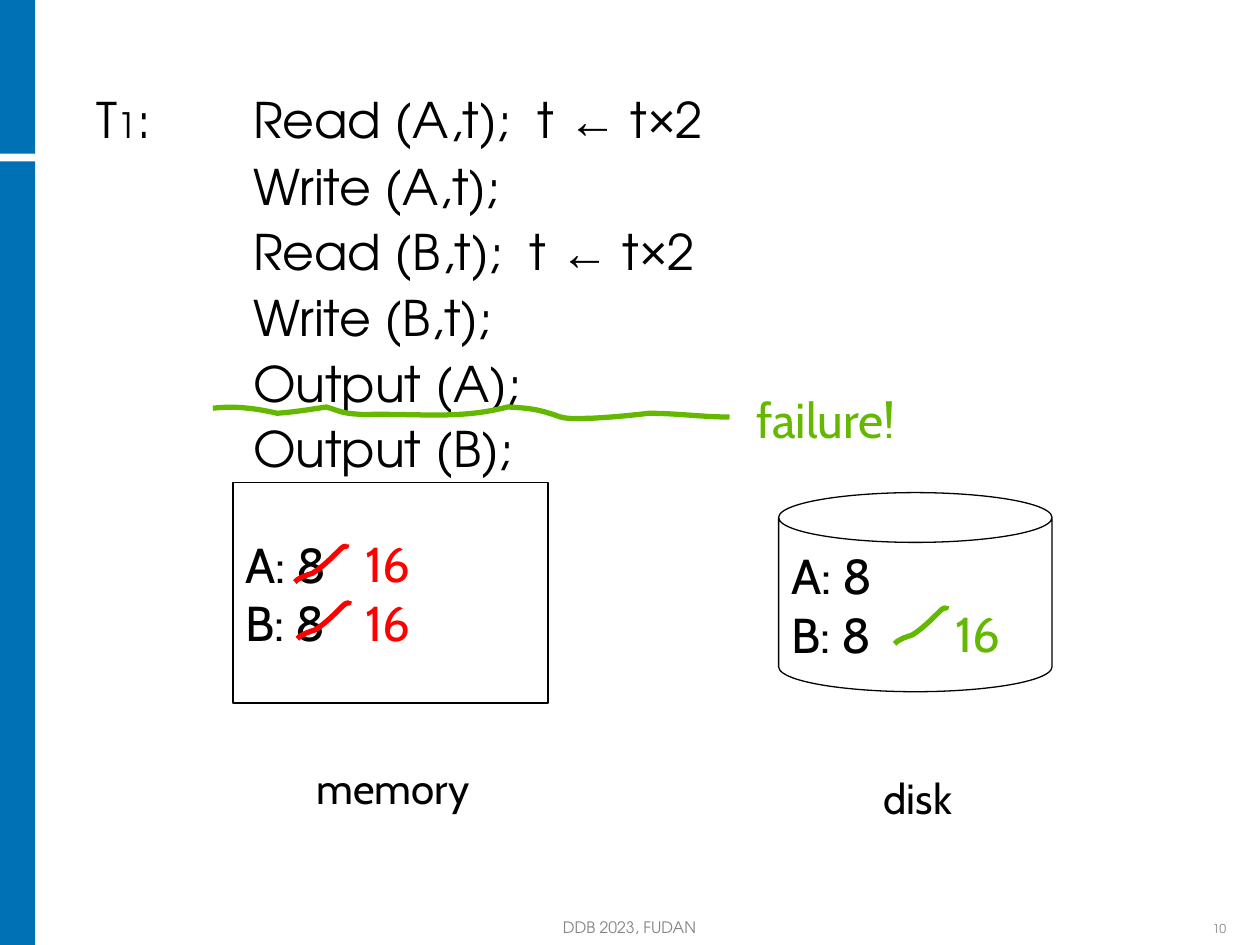
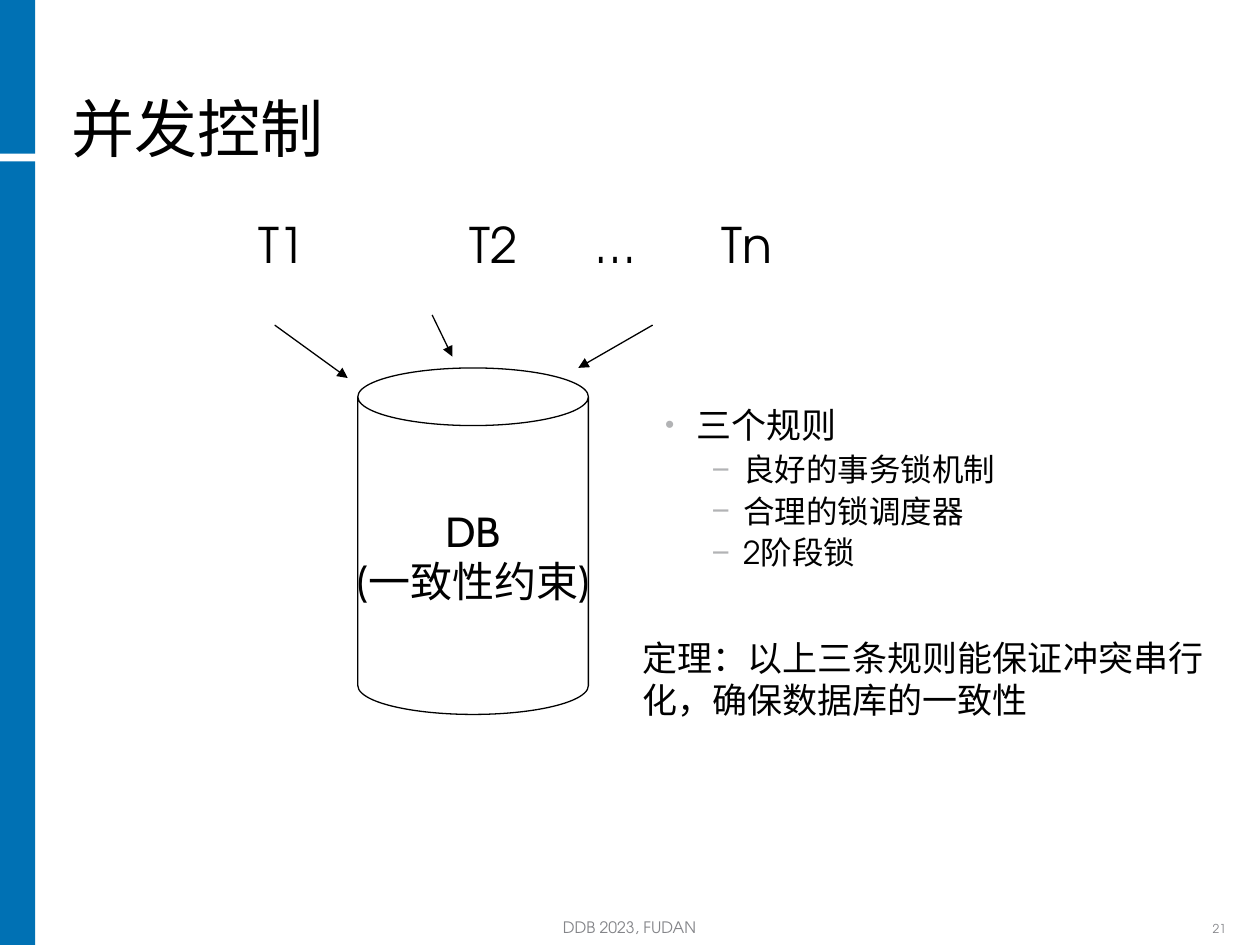
import dataclasses
import typing

import pptx
import pptx.dml.color
import pptx.enum.shapes
import pptx.enum.text
import pptx.oxml
import pptx.oxml.ns
import pptx.util
from lxml import etree

Inches = pptx.util.Inches
Pt = pptx.util.Pt
Align = pptx.enum.text.PP_ALIGN
Anchor = pptx.enum.text.MSO_ANCHOR
Form = pptx.enum.shapes.MSO_SHAPE
LEFT, MID, RIGHT = Align.LEFT, Align.CENTER, Align.RIGHT

BLUE, GREEN, RED = "0071B4", "64B900", "FF0000"
BLACK, WHITE, GRAY, PALE = "000000", "FFFFFF", "848589", "B2B3B5"
MAIN, HAND, SERIF, SIGN = "TeX Gyre Adventor", "Cabin", "Vollkorn", "Arial"


class Area(typing.NamedTuple):
    left: float
    top: float
    width: float
    height: float


class Style(typing.NamedTuple):
    font: str
    size: float
    color: str = BLACK


class Run(typing.NamedTuple):
    text: str
    font: str | None = None
    size: float | None = None


class Mark(typing.NamedTuple):
    char: str
    level: int
    indent: float
    scale: int


@dataclasses.dataclass
class Para:
    runs: list[Run]
    style: Style
    align: typing.Any = LEFT
    lead: float = 1.0
    before: float = 0
    after: float = 0
    tabs: tuple[float, ...] = ()
    mark: Mark | None = None


CODE = Style(MAIN, 28)
NOTE = Style(HAND, 28)
LABEL = Style(HAND, 24)
BANDS = [Area(0, 1.28, 0.28, 6.22), Area(0, 0, 0.28, 1.22)]
DOT = Mark("•", 0, 0.25, 75)
DASH = Mark("−", 1, 0.62, 100)

Point = tuple[float, float]
TICK: list[Point] = [
    (0, 0.31), (0.01, 0.3), (0.03, 0.28), (0.04, 0.28),
    (0.07, 0.26), (0.14, 0.24), (0.14, 0.24),
    (0.22, 0.19), (0.29, 0.12), (0.36, 0.05),
    (0.41, 0), (0.41, 0.05), (0.41, 0.01),
]
WAVE: list[Point] = [
    (0, 0.02), (0.17, 0), (0.34, 0.02), (0.51, 0.06),
    (0.65, 0.05), (0.77, 0.03), (0.9, 0.01),
    (1.03, 0.05), (1.02, 0.06), (1.19, 0.07),
    (1.66, 0.06), (1.95, 0.11), (2.34, 0.01),
    (2.53, 0.02), (2.59, 0.03), (2.76, 0.09),
    (2.84, 0.11), (2.92, 0.1), (3, 0.1),
    (3.18, 0.09), (3.29, 0.08), (3.46, 0.06),
    (3.68, 0.06), (3.89, 0.09), (4.1, 0.09),
]


def rgb(code: str) -> typing.Any:
    return pptx.dml.color.RGBColor.from_string(code)


def lengths(area: Area) -> list[int]:
    return [Inches(side) for side in area]


def add(node: typing.Any, tag: str, **attrs: typing.Any) -> typing.Any:
    values = {key: str(value) for key, value in attrs.items()}
    return etree.SubElement(node, pptx.oxml.ns.qn(tag), values)


def set_props(para: typing.Any, item: Para) -> None:
    props = para._p.get_or_add_pPr()
    if item.mark:
        para.level = item.mark.level
        props.set("marL", str(Inches(item.mark.indent)))
        props.set("indent", str(Inches(-0.25)))
        add(add(props, "a:buClr"), "a:srgbClr", val=PALE)
        add(props, "a:buSzPct", val=item.mark.scale * 1000)
        add(props, "a:buFont", typeface=SIGN)
        add(props, "a:buChar", char=item.mark.char)
    if item.tabs:
        stops = add(props, "a:tabLst")
        for stop in item.tabs:
            add(stops, "a:tab", pos=Inches(stop), algn="l")
    para.alignment = item.align
    para.line_spacing = item.lead
    para.space_after = Pt(item.after)


def fill_text(shape: typing.Any, items: list[Para], anchor: typing.Any, wrap: bool) -> None:
    frame = shape.text_frame
    frame.word_wrap = wrap
    frame.vertical_anchor = anchor
    for rank, item in enumerate(items):
        para = frame.add_paragraph() if rank else frame.paragraphs[0]
        set_props(para, item)
        if rank:
            para.space_before = Pt(item.before)
        for part in item.runs:
            run = para.add_run()
            run.text = part.text
            run.font.name = part.font or item.style.font
            run.font.size = Pt(part.size or item.style.size)
            run.font.color.rgb = rgb(item.style.color)


def add_text(slide: typing.Any, area: Area, items: list[Para],
             anchor: typing.Any = Anchor.TOP, wrap: bool = True) -> None:
    fill_text(slide.shapes.add_textbox(*lengths(area)), items, anchor, wrap)


def plain(text: str, style: Style, align: typing.Any = LEFT, **rest: typing.Any) -> Para:
    return Para([Run(text)], style, align, **rest)


def add_form(slide: typing.Any, form: typing.Any, area: Area,
             fill: str, line: str | None = None) -> typing.Any:
    shape = slide.shapes.add_shape(form, *lengths(area))
    shape.shadow.inherit = False
    shape.fill.solid()
    shape.fill.fore_color.rgb = rgb(fill)
    if line:
        shape.line.color.rgb = rgb(line)
        shape.line.width = Pt(0.75)
    else:
        shape.line.fill.background()
    return shape


def add_store(slide: typing.Any, form: typing.Any, area: Area, lines: list[str],
              style: Style, align: typing.Any = LEFT) -> None:
    shape = add_form(slide, form, area, WHITE, BLACK)
    items = [plain(line, style, align) for line in lines]
    fill_text(shape, items, Anchor.MIDDLE, align == LEFT)


def bend(shape: typing.Any) -> None:
    lines = list(shape._element.iter(pptx.oxml.ns.qn("a:lnTo")))
    route = lines[0].getparent()
    for first in range(0, len(lines), 3):
        curve = add(route, "a:cubicBezTo")
        for line in lines[first:first + 3]:
            curve.append(line[0])
            route.remove(line)


def add_stroke(slide: typing.Any, curve: list[Point], left: float, top: float, color: str) -> None:
    points = [(Inches(left + x), Inches(top + y)) for x, y in curve]
    pen = slide.shapes.build_freeform(*points[0])
    pen.add_line_segments(points[1:], close=False)
    shape = pen.convert_to_shape()
    bend(shape)
    shape.shadow.inherit = False
    shape.fill.background()
    shape.line.color.rgb = rgb(color)
    shape.line.width = Pt(3)


def add_arrow(slide: typing.Any, start: Point, end: Point) -> None:
    kind = pptx.enum.shapes.MSO_CONNECTOR.STRAIGHT
    arrow = slide.shapes.add_connector(kind, *(Inches(n) for n in start + end))
    arrow.line.color.rgb = rgb(BLACK)
    arrow.line.width = Pt(0.75)
    add(arrow.line._get_or_add_ln(), "a:tailEnd", type="triangle")
    add(arrow._element.spPr, "a:effectLst")


def add_slide(deck: typing.Any, number: str) -> typing.Any:
    slide = deck.slides.add_slide(deck.slide_layouts[6])
    for band in BANDS:
        add_form(slide, Form.RECTANGLE, band, BLUE)
    add_text(slide, Area(9, 7.23, 0.83, 0.25),
             [plain(number, Style(MAIN, 7, GRAY), RIGHT, lead=0.8)], Anchor.BOTTOM)
    add_text(slide, Area(2.33, 7.23, 5.33, 0.25),
             [plain("DDB 2023, FUDAN", Style(MAIN, 9, GRAY), MID)], Anchor.BOTTOM)
    return slide


def double(lead: str) -> list[Run]:
    return [Run(lead), Run("←", SIGN), Run(" t"), Run("×", SIGN), Run("2")]


def draw_failure(deck: typing.Any) -> None:
    slide = add_slide(deck, "10")
    steps = [
        [Run("T"), Run("1", size=20), *double(":\tRead (A,t);  t ")],
        [Run("\tWrite (A,t);")],
        double("\tRead (B,t);  t "),
        [Run("\tWrite (B,t);")],
        [Run("\tOutput (A);")],
        [Run("\tOutput (B);")],
    ]
    add_text(slide, Area(0.67, 0.75, 8.5, 5.67), [
        Para(runs, CODE, lead=0.7 if rank else 0.8, before=10.5, after=3.5, tabs=(1.24,))
        for rank, runs in enumerate(steps)
    ])
    values = ["A: 8", "B: 8"]
    add_store(slide, Form.RECTANGLE, Area(1.85, 3.83, 2.5, 1.75), values, NOTE)
    add_store(slide, Form.CAN, Area(6.18, 3.91, 2.17, 1.58), values, NOTE)
    for area, name in [(Area(2.36, 6, 1.52, 0.5), "memory"),
                       (Area(6.87, 6.08, 0.83, 0.5), "disk")]:
        add_text(slide, area, [plain(name, LABEL, MID)], Anchor.MIDDLE, False)
    for left, top, color in [(2.34, 4.31, RED), (2.36, 4.76, RED), (7.1, 4.8, GREEN)]:
        add_stroke(slide, TICK, left, top, color)
    add_stroke(slide, WAVE, 1.69, 3.22, GREEN)
    for area, lines, color in [
        (Area(2.76, 4.18, 0.64, 1.04), ["16", "16"], RED),
        (Area(7.44, 4.74, 0.64, 0.57), ["16"], GREEN),
        (Area(5.82, 3.04, 1.47, 0.57), ["failure!"], GREEN),
    ]:
        style = NOTE._replace(color=color)
        add_text(slide, area, [plain(line, style, MID) for line in lines], Anchor.MIDDLE)


def draw_control(deck: typing.Any) -> None:
    slide = add_slide(deck, "21")
    add_text(slide, Area(0.47, 0.12, 8.34, 1.25),
             [plain("并发控制", Style(MAIN, 36), lead=0.9)], Anchor.BOTTOM)
    add_text(slide, Area(0.38, 1.71, 8.12, 0.63),
             [plain("\tT1\tT2\t…\tTn", CODE, lead=0.9, tabs=(1.57, 3.25, 4.25, 5.25))])
    add_store(slide, Form.CAN, Area(2.84, 2.92, 1.83, 2.75),
              ["DB", "(一致性约束)"], LABEL, MID)
    for start, end in [((2.18, 2.58), (2.76, 3)), ((3.43, 2.5), (3.59, 2.83)),
                       ((5.18, 2.58), (4.59, 2.92))]:
        add_arrow(slide, start, end)
    rules = ["良好的事务锁机制", "合理的锁调度器", "2阶段锁"]
    add_text(slide, Area(5.18, 3.19, 4.18, 3.17), [
        plain("三个规则", Style(MAIN, 20), lead=0.9, after=2.5, mark=DOT),
        *(plain(rule, Style(MAIN, 18), lead=0.9, before=2.2, after=2.2, mark=DASH)
          for rule in rules),
    ])
    add_text(slide, Area(5, 5, 4.8, 0.77), [
        plain("定理：以上三条规则能保证冲突串行化，确保数据库的一致性", Style(SERIF, 20)),
    ])


def main() -> None:
    deck = pptx.Presentation()
    deck.slide_width, deck.slide_height = Inches(10), Inches(7.5)
    draw_failure(deck)
    draw_control(deck)
    deck.save("out.pptx")


if __name__ == "__main__":
    main()
